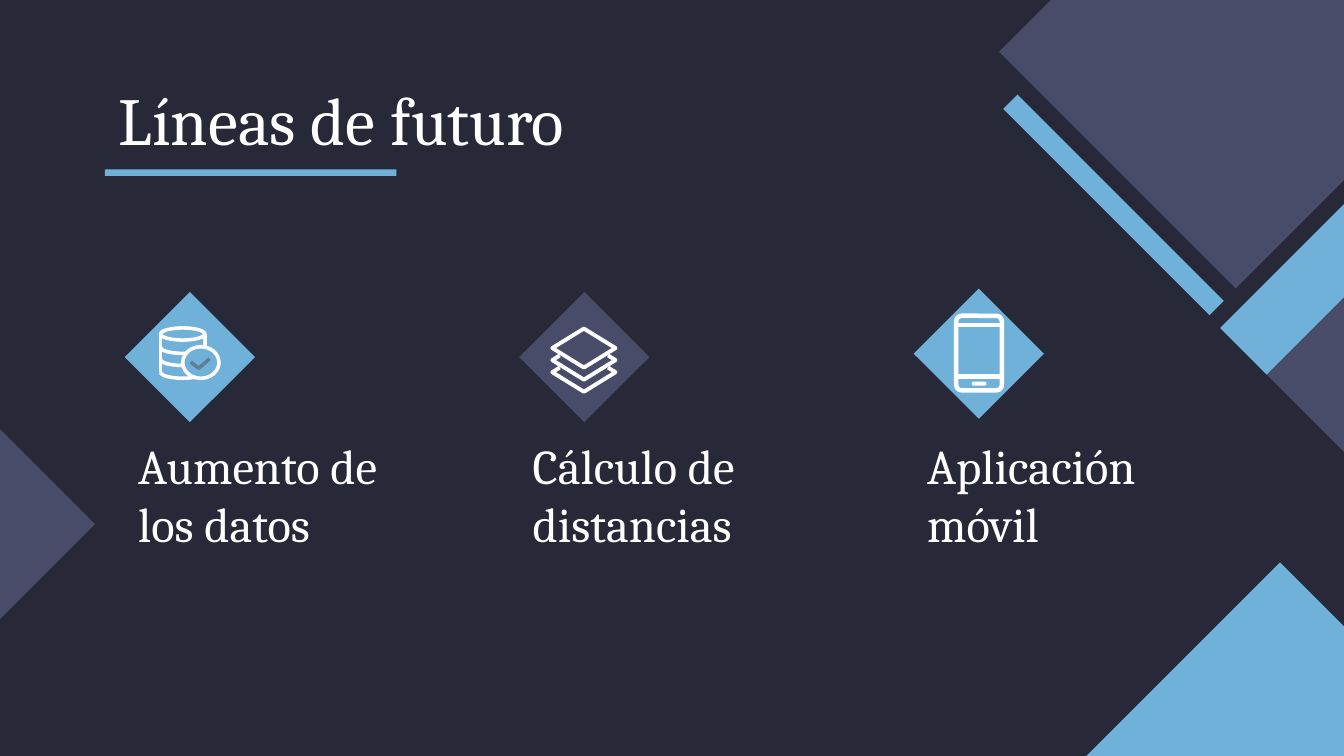
"""Build the "Líneas de futuro" slide on a grid of 100 columns by 56.25 rows."""
from math import cos, pi, sin

from pptx import Presentation
from pptx.dml.color import RGBColor
from pptx.enum.shapes import MSO_SHAPE
from pptx.enum.text import MSO_ANCHOR
from pptx.util import Inches, Pt

RECTANGLE, ROUNDED = MSO_SHAPE.RECTANGLE, MSO_SHAPE.ROUNDED_RECTANGLE
ELLIPSE = MSO_SHAPE.OVAL
MIDDLE, TOP = MSO_ANCHOR.MIDDLE, MSO_ANCHOR.TOP
NIGHT = RGBColor(0x28, 0x29, 0x38)
PURPLE = RGBColor(0x48, 0x4C, 0x68)
BLUE = RGBColor(0x70, 0xB1, 0xDA)
SLATE = RGBColor(0x5F, 0x7D, 0x95)
WHITE = RGBColor(0xFF, 0xFF, 0xFF)
CELL = Inches(0.1)

deck = Presentation()
deck.slide_width = 100 * CELL
deck.slide_height = deck.slide_width * 9 // 16
slide = deck.slides.add_slide(deck.slide_layouts[6])
slide.background.fill.solid()
slide.background.fill.fore_color.rgb = NIGHT


def add_block(preset, place, fill, turn=0, outline=0):
    """Add a preset shape at (column, row, columns, rows)."""
    block = slide.shapes.add_shape(preset, *(int(n * CELL) for n in place))
    block.shadow.inherit = False
    block.rotation = turn
    block.fill.solid()
    block.fill.fore_color.rgb = fill
    if outline:
        block.line.color.rgb = WHITE
        block.line.width = Pt(outline)
    else:
        block.line.fill.background()
    return block


def add_stroke(points, weight, color=WHITE, close=False):
    """Draw an unfilled outline through (column, row) points."""
    start, *rest = [(x * CELL, y * CELL) for x, y in points]
    builder = slide.shapes.build_freeform(*start)
    builder.add_line_segments(rest, close=close)
    stroke = builder.convert_to_shape()
    stroke.shadow.inherit = False
    stroke.fill.background()
    stroke.line.color.rgb = color
    stroke.line.width = Pt(weight)


for place, fill, turn in (
    ((79.5, -8.6, 24.9, 24.9), PURPLE, 315),
    ((97.1, 19.2, 9.3, 13.4), PURPLE, 45),
    ((94.8, 14.7, 4.9, 13.4), BLUE, 45),
    ((82.8, 47, 24.9, 24.9), BLUE, 315),
    ((-9.1, 32.3, 13.4, 13.4), PURPLE, 315),
    ((82.1, 4.4, 1.5, 21.7), BLUE, 315),
    ((7.8, 12.6, 21.7, 0.5), BLUE, 0),
):
    add_block(RECTANGLE, place, fill, turn)

texts = [("Líneas de futuro", (7.85, 5.9, 84.4, 5.9), 36, MIDDLE)]
for column, (topic, badge_row, badge_fill) in enumerate((
    ("Aumento de los datos", 23.15, BLUE),
    ("Cálculo de distancias", 23.15, PURPLE),
    ("Aplicación móvil", 22.9, BLUE),
)):
    left = 9.3 + 29.35 * column
    add_block(RECTANGLE, (left + 1.4, badge_row, 6.85, 6.85), badge_fill, 45)
    texts.append((topic, (left, 31.45, 22.8, 10.6), 26, TOP))

for wording, place, size, anchor in texts:
    frame = slide.shapes.add_textbox(*(int(n * CELL) for n in place)).text_frame
    frame.word_wrap = True
    frame.vertical_anchor = anchor
    frame.margin_left = frame.margin_right = CELL
    frame.margin_top = frame.margin_bottom = CELL
    frame.text = wording
    font = frame.paragraphs[0].runs[0].font
    font.name, font.size, font.color.rgb = "Cambria", Pt(size), WHITE

add_block(ELLIPSE, (11.95, 24.4, 3.3, 0.9), BLUE, outline=1.9)
for band_row in (25.85, 26.75, 27.7):
    angles = [pi * step / 12 for step in range(13)]
    add_stroke([(13.6 - 1.65 * cos(a), band_row + 0.45 * sin(a)) for a in angles], 1.9)
for side in (11.95, 15.25):
    add_stroke([(side, 24.85), (side, 27.7)], 1.9)
add_block(ELLIPSE, (13.6, 25.8, 2.7, 2.35), BLUE, outline=1.9)
add_stroke([(14.2, 26.95), (14.8, 27.4), (15.6, 26.7)], 1.9, SLATE)

middle, reach, rise = 43.45, 2.35, 1.45
add_stroke([(middle, 24.45), (middle + reach, 25.9), (middle, 25.9 + rise),
            (middle - reach, 25.9)], 2.1, close=True)
for layer_row in (26.8, 27.7):
    add_stroke([(middle - 1.8, layer_row - 0.35), (middle - reach, layer_row),
                (middle, layer_row + rise), (middle + reach, layer_row),
                (middle + 1.8, layer_row - 0.35)], 2.1)

phone = add_block(ROUNDED, (71.15, 23.5, 3.4, 5.55), BLUE, outline=2.4)
phone.adjustments[0] = 0.12
for edge_row in (24.2, 28):
    add_stroke([(71.15, edge_row), (74.55, edge_row)], 2.4)
home_button = add_block(ROUNDED, (72.3, 28.4, 1.1, 0.3), WHITE)
home_button.adjustments[0] = 0.5

deck.save("out.pptx")
